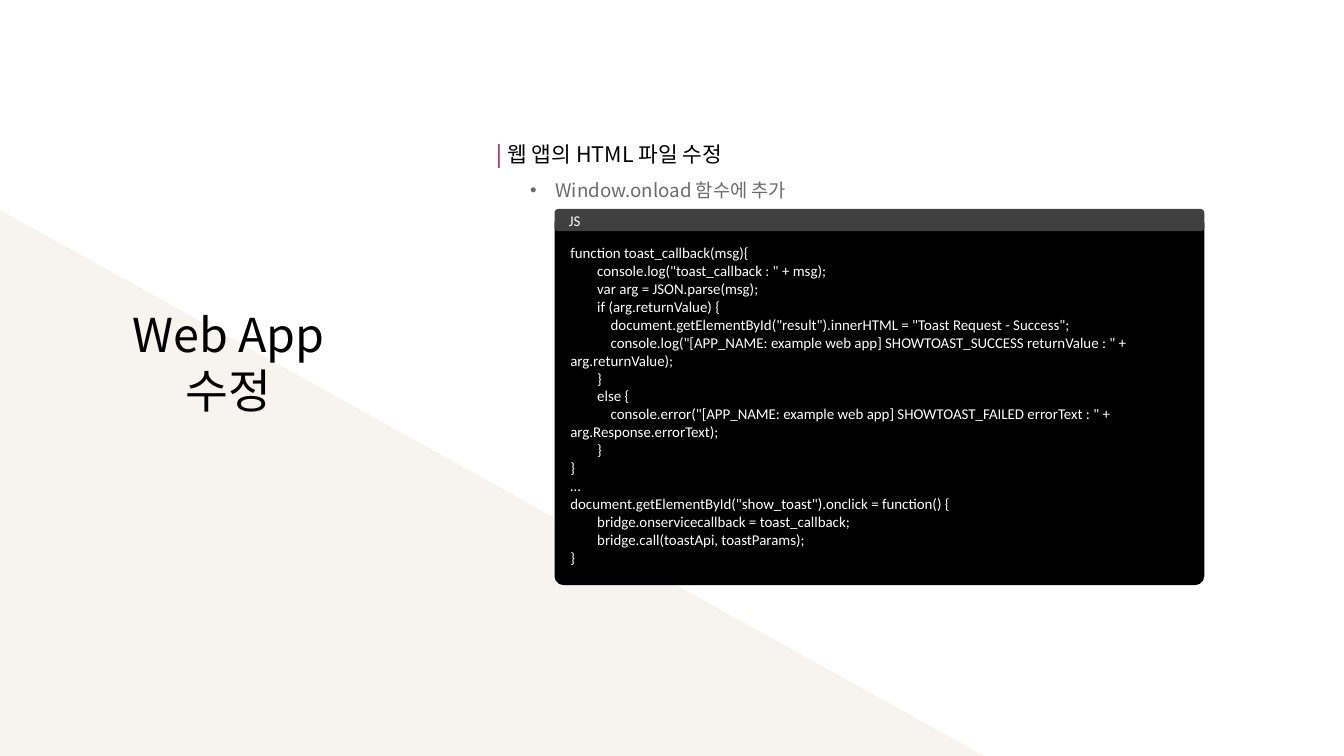
from dataclasses import dataclass

from lxml import etree
from pptx import Presentation
from pptx.dml.color import RGBColor
from pptx.enum.shapes import MSO_SHAPE
from pptx.enum.text import MSO_ANCHOR, PP_ALIGN
from pptx.oxml.ns import qn
from pptx.util import Cm, Pt

TRIANGLE = MSO_SHAPE.RIGHT_TRIANGLE
ROUNDED = MSO_SHAPE.ROUNDED_RECTANGLE
TOP, MIDDLE = MSO_ANCHOR.TOP, MSO_ANCHOR.MIDDLE
LEFT, CENTER = PP_ALIGN.LEFT, PP_ALIGN.CENTER


@dataclass(frozen=True)
class Theme:
    """Colours, fonts and type sizes of the slide."""
    paper: str = "FFFFFF"
    wedge: str = "F6F4EF"
    ink: str = "000000"
    muted: str = "6B6B6B"
    accent: str = "A50034"
    tab: str = "404040"
    text_font: str = "Noto Sans CJK KR"
    code_font: str = "Calibri"
    title: int = 50
    heading: int = 23
    body: int = 20
    code: int = 16
    leading: float = 1.2


THEME = Theme()

CODE = """\
function toast_callback(msg){
        console.log("toast_callback : " + msg);
        var arg = JSON.parse(msg);
        if (arg.returnValue) {
            document.getElementById("result").innerHTML = "Toast Request - Success";
            console.log("[APP_NAME: example web app] SHOWTOAST_SUCCESS returnValue : " + arg.returnValue);
        }
        else {
            console.error("[APP_NAME: example web app] SHOWTOAST_FAILED errorText : " + arg.Response.errorText);
        }
}
…
document.getElementById("show_toast").onclick = function() {
        bridge.onservicecallback = toast_callback;
        bridge.call(toastApi, toastParams);
}"""


def add_run(p, text, size, color, font=THEME.text_font):
    """Add a run with its font set for Latin and Korean text."""
    r = p.add_run()
    r.text = text
    r.font.size = Pt(size)
    r.font.name = font
    r.font.color.rgb = RGBColor.from_string(color)
    etree.SubElement(r.font._element, qn("a:ea"), typeface=font)


def set_frame(tf, anchor=TOP, insets=(0.25, 0.13, 0.25, 0.13)):
    """Set wrapping, anchor and insets of a text frame."""
    tf.word_wrap = True
    tf.vertical_anchor = anchor
    tf.margin_left, tf.margin_top, tf.margin_right, tf.margin_bottom = map(Cm, insets)


def add_lines(tf, lines, size, color, font=THEME.text_font, align=LEFT, spacing=None):
    """Write one paragraph for each line."""
    for i, line in enumerate(lines):
        p = tf.add_paragraph() if i else tf.paragraphs[0]
        p.alignment = align
        if spacing:
            p.line_spacing = Pt(spacing)
        add_run(p, line, size, color, font)


def add_block(shapes, kind, box, fill, adjust=None):
    """Add a filled shape without line or shadow."""
    sp = shapes.add_shape(kind, *map(Cm, box))
    sp.shadow.inherit = False
    sp.fill.solid()
    sp.fill.fore_color.rgb = RGBColor.from_string(fill)
    sp.line.fill.background()
    if adjust is not None:
        sp.adjustments[0] = adjust
    return sp


def add_title(s, box):
    """Add the centred slide title."""
    tf = s.shapes.add_textbox(*map(Cm, box)).text_frame
    set_frame(tf)
    add_lines(tf, ["Web App", "수정"], THEME.title, THEME.ink,
              align=CENTER, spacing=THEME.title * THEME.leading)


def add_heading(s, box):
    """Add the marked heading and the bullet below it."""
    tf = s.shapes.add_textbox(*map(Cm, box)).text_frame
    set_frame(tf)
    p = tf.paragraphs[0]
    p.line_spacing = Pt(THEME.heading * THEME.leading)
    add_run(p, "| ", THEME.heading, THEME.accent)
    add_run(p, "웹 앱의 HTML 파일 수정", THEME.heading, THEME.ink)
    p = tf.add_paragraph()
    p.level = 1
    p.line_spacing = Pt(THEME.body * THEME.leading * 1.5)
    pPr = p._p.get_or_add_pPr()
    pPr.set("marL", str(Cm(2.23)))
    pPr.set("indent", str(Cm(-0.96)))
    etree.SubElement(pPr, qn("a:buFont"), typeface="Arial")
    etree.SubElement(pPr, qn("a:buChar"), char="•")
    add_run(p, "Window.onload 함수에 추가", THEME.body, THEME.muted)


def add_code_panel(s, box, language, code):
    """Add a code panel with a language tab along its top."""
    x, y, w, h = box
    tab_h, overlap = 0.84, 0.2
    shapes = s.shapes.add_group_shape().shapes
    panel = add_block(shapes, ROUNDED, (x, y + overlap, w, h - overlap), THEME.ink, 0.024)
    tab = add_block(shapes, ROUNDED, (x, y, w, tab_h), THEME.tab)
    for sp, lines, top, bottom in ((panel, code.splitlines(), 1, 0.6),
                                   (tab, [language], 0.13, 0.13)):
        set_frame(sp.text_frame, MIDDLE, (0.5, top, 0.25, bottom))
        add_lines(sp.text_frame, lines, THEME.code, THEME.paper, THEME.code_font)


def main():
    """Build the slide and save it."""
    prs = Presentation()
    prs.slide_width, prs.slide_height = Cm(50.8), Cm(28.58)
    s = prs.slides.add_slide(prs.slide_layouts[6])
    s.background.fill.solid()
    s.background.fill.fore_color.rgb = RGBColor.from_string(THEME.paper)
    add_block(s.shapes, TRIANGLE, (0, 7.94, 37.2, 20.64), THEME.wedge)
    add_heading(s, (18.52, 5.22, 14.5, 2.51))
    add_title(s, (2.92, 11.43, 11.43, 4.52))
    add_code_panel(s, (20.96, 7.9, 24.56, 14.22), "JS", CODE)
    prs.save("out.pptx")


if __name__ == "__main__":
    main()
